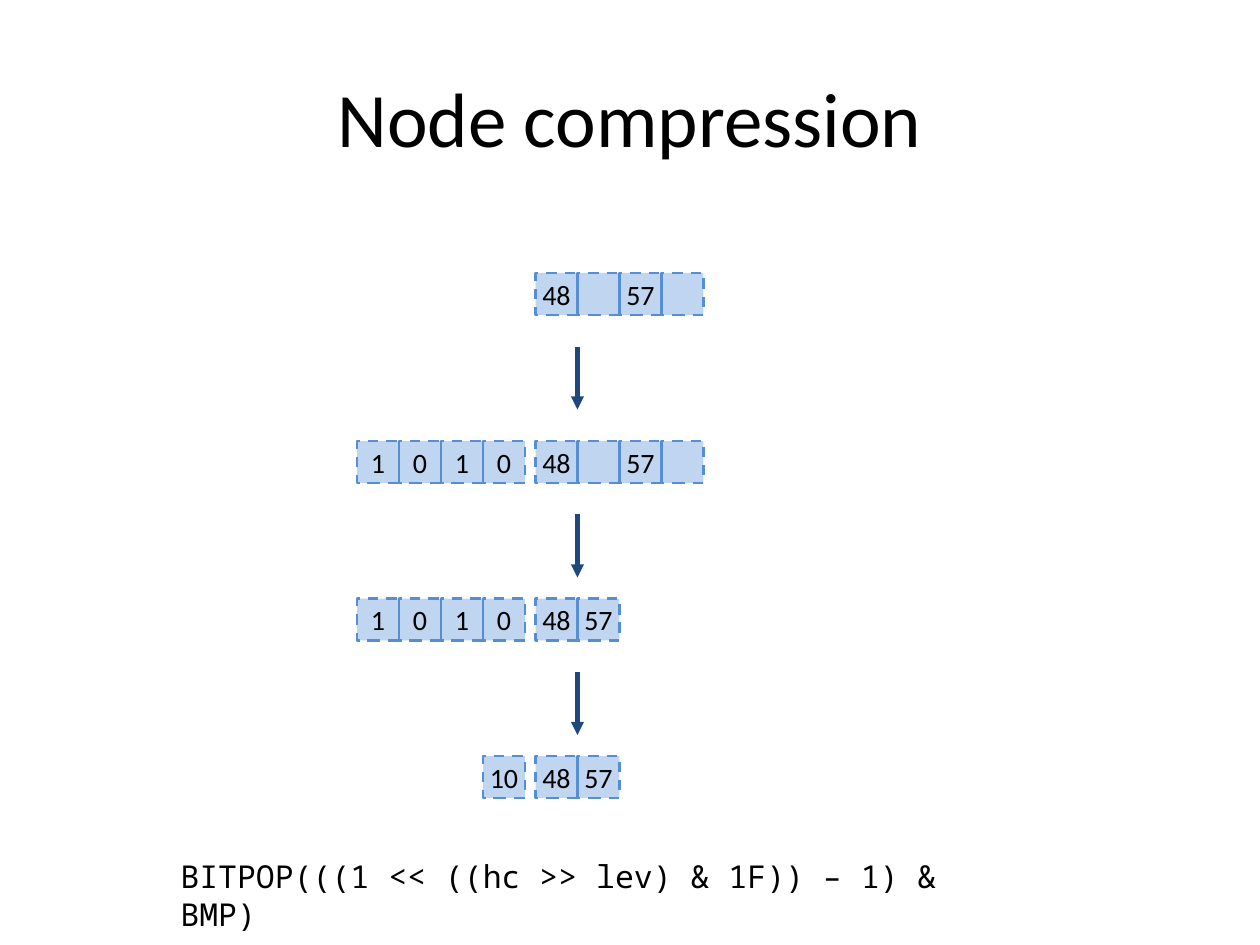
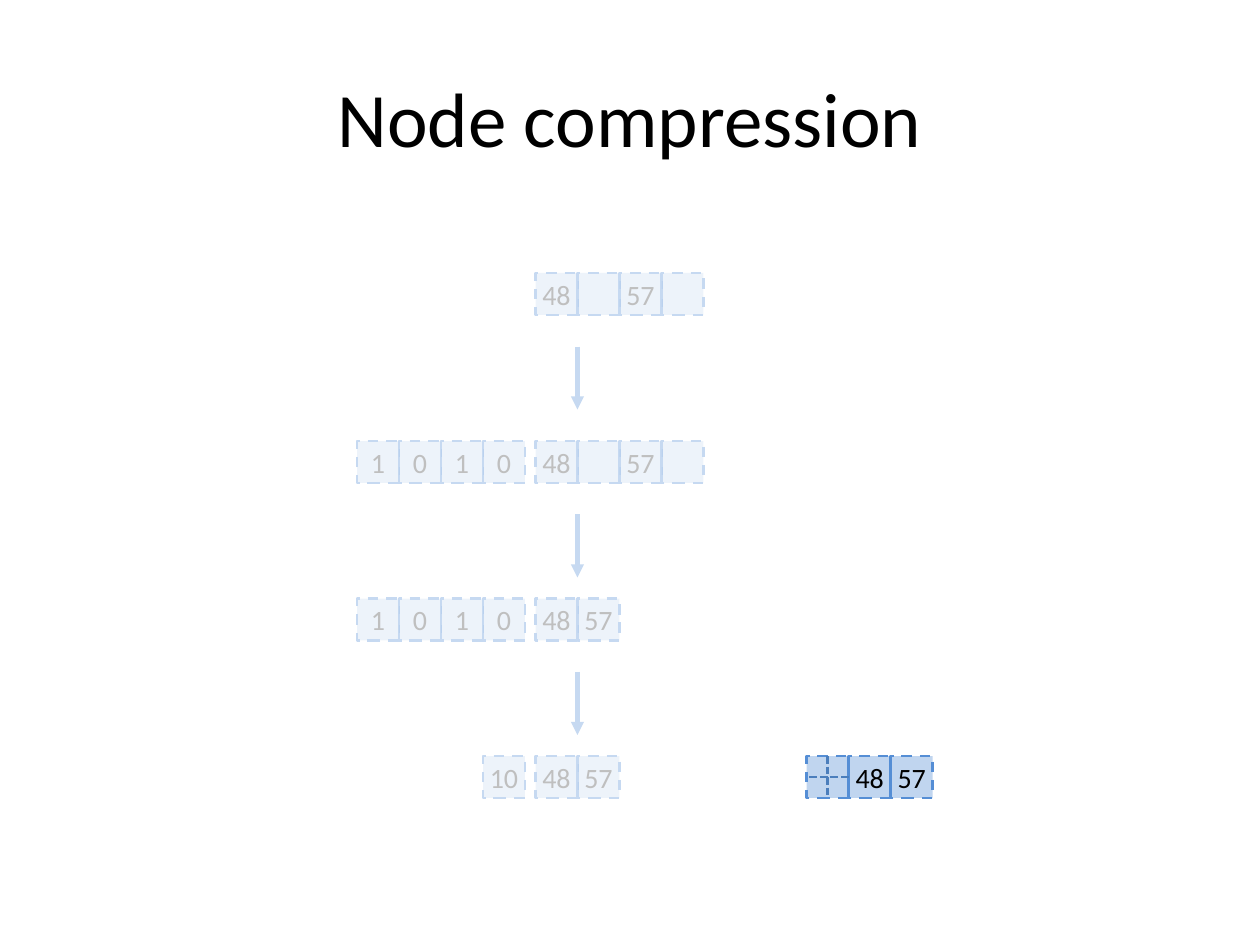
"""Build two slides on node compression: the steps, then the packed result."""
from lxml import etree
from pptx import Presentation
from pptx.dml.color import RGBColor
from pptx.enum.dml import MSO_LINE
from pptx.enum.shapes import MSO_CONNECTOR, MSO_SHAPE
from pptx.enum.text import MSO_ANCHOR, MSO_AUTO_SIZE, PP_ALIGN
from pptx.oxml.ns import qn
from pptx.util import Pt

TITLE = "Node compression"
FORMULA = "BITPOP(((1 << ((hc >> lev) & 1F)) – 1) & BMP)"
STEPS = [
    (156, [], ["48", "", "57", ""]),
    (252, ["1", "0", "1", "0"], ["48", "", "57", ""]),
    (342, ["1", "0", "1", "0"], ["48", "57"]),
    (432, ["10"], ["48", "57"]),
]
PACKED = ["", "48", "57"]

BLACK = RGBColor(0x00, 0x00, 0x00)
GREY = RGBColor(0xBF, 0xBF, 0xBF)
BLUE = RGBColor(0x55, 0x8E, 0xD5)
PALE = RGBColor(0xC6, 0xD9, 0xF1)
NAVY = RGBColor(0x1F, 0x49, 0x7D)
STEEL = RGBColor(0x4B, 0x7E, 0xBC)
STRONG = {"alpha": 37, "line": BLUE, "text": BLACK, "arrow": NAVY}
FADED = {"alpha": 10, "line": PALE, "text": GREY, "arrow": PALE}

RECT = MSO_SHAPE.RECTANGLE
STRAIGHT = MSO_CONNECTOR.STRAIGHT
DASH, SYS_DASH = MSO_LINE.DASH, MSO_LINE.SQUARE_DOT
CENTER, LEFT = PP_ALIGN.CENTER, PP_ALIGN.LEFT
MIDDLE, TOP = MSO_ANCHOR.MIDDLE, MSO_ANCHOR.TOP
GROW = MSO_AUTO_SIZE.SHAPE_TO_FIT_TEXT

FONT, MONO = "Calibri", "Noto Sans Mono"
CELL = 24
BITS_RIGHT, SLOTS_LEFT = 300, 306
ARROW_X, ARROW_GAP, ARROW_LENGTH = 330, 42, 36
PACKED_LEFT = 461


def write(tf, text, size, color, name=FONT, align=CENTER, anchor=MIDDLE, wrap=True):
    tf.word_wrap = wrap
    tf.vertical_anchor = anchor
    p = tf.paragraphs[0]
    p.alignment = align
    r = p.add_run()
    r.text = text
    for key, value in {"size": Pt(size), "name": name}.items():
        setattr(r.font, key, value)
    r.font.color.rgb = color


def add_text(s, box, *args, **kwargs):
    tf = s.shapes.add_textbox(*map(Pt, box)).text_frame
    write(tf, *args, **kwargs)
    return tf


def add_line(s, start, end, color, width, dash=None, arrow=False):
    line = s.shapes.add_connector(STRAIGHT, *map(Pt, start + end))
    line.line.color.rgb = color
    line.line.width = Pt(width)
    if dash:
        line.line.dash_style = dash
    if arrow:
        ln = line.line._get_or_add_ln()
        etree.SubElement(ln, qn("a:tailEnd")).set("type", "triangle")
    etree.SubElement(line._element.spPr, qn("a:effectLst"))


def add_cells(s, left, top, values, look):
    for i, value in enumerate(values):
        sp = s.shapes.add_shape(RECT, Pt(left + i * CELL), Pt(top), Pt(CELL), Pt(CELL))
        sp.shadow.inherit = False
        sp.fill.solid()
        sp.fill.fore_color.rgb = BLUE
        color = sp._element.spPr.find(qn("a:solidFill"))[0]
        etree.SubElement(color, qn("a:alpha")).set("val", str(look["alpha"] * 1000))
        sp.line.color.rgb = look["line"]
        sp.line.width = Pt(1.5)
        sp.line.dash_style = DASH
        if value:
            write(sp.text_frame, value, 16, look["text"], wrap=False)


def add_slide(prs, look):
    s = prs.slides.add_slide(prs.slide_layouts[6])
    add_text(s, (36, 21.6, 648, 90), TITLE, 44, BLACK)
    for i, (top, bits, slots) in enumerate(STEPS):
        add_cells(s, SLOTS_LEFT, top, slots, look)
        add_cells(s, BITS_RIGHT - CELL * len(bits), top, bits, look)
        if i < len(STEPS) - 1:
            y = top + ARROW_GAP
            add_line(s, (ARROW_X, y), (ARROW_X, y + ARROW_LENGTH),
                     look["arrow"], 2.5, arrow=True)
    return s


def main():
    prs = Presentation()
    prs.slide_width, prs.slide_height = Pt(720), Pt(540)

    s = add_slide(prs, STRONG)
    tf = add_text(s, (96, 486, 498, 29), FORMULA, 18, BLACK, MONO, LEFT, TOP)
    tf.auto_size = GROW

    s = add_slide(prs, FADED)
    top = STEPS[-1][0]
    add_cells(s, PACKED_LEFT, top, PACKED, STRONG)
    x, y = PACKED_LEFT + CELL / 2, top + CELL / 2
    add_line(s, (x, top), (x, top + CELL), STEEL, 1.5, SYS_DASH)
    add_line(s, (PACKED_LEFT + CELL, y), (PACKED_LEFT, y), STEEL, 1.5, SYS_DASH)

    prs.save("out.pptx")


if __name__ == "__main__":
    main()
